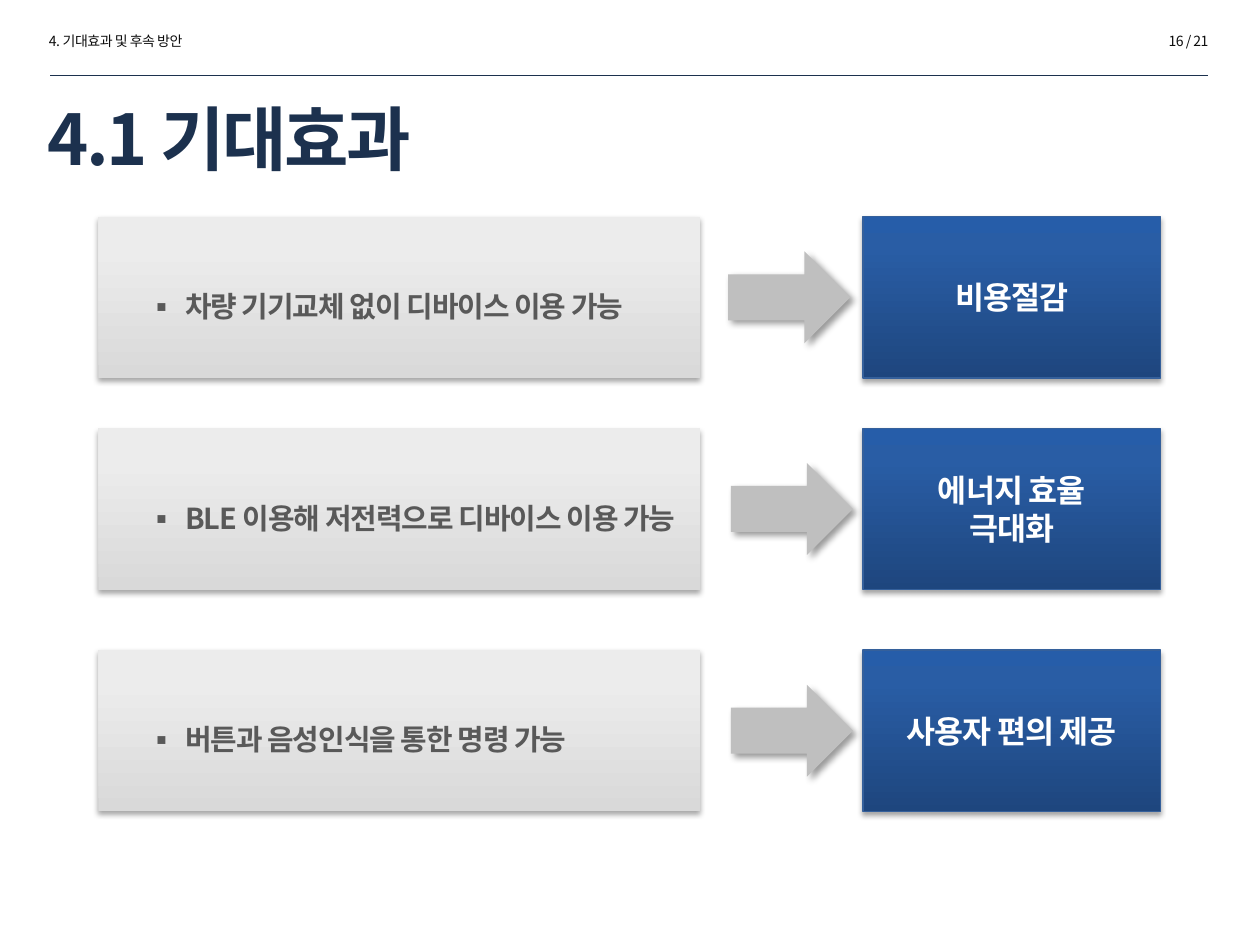
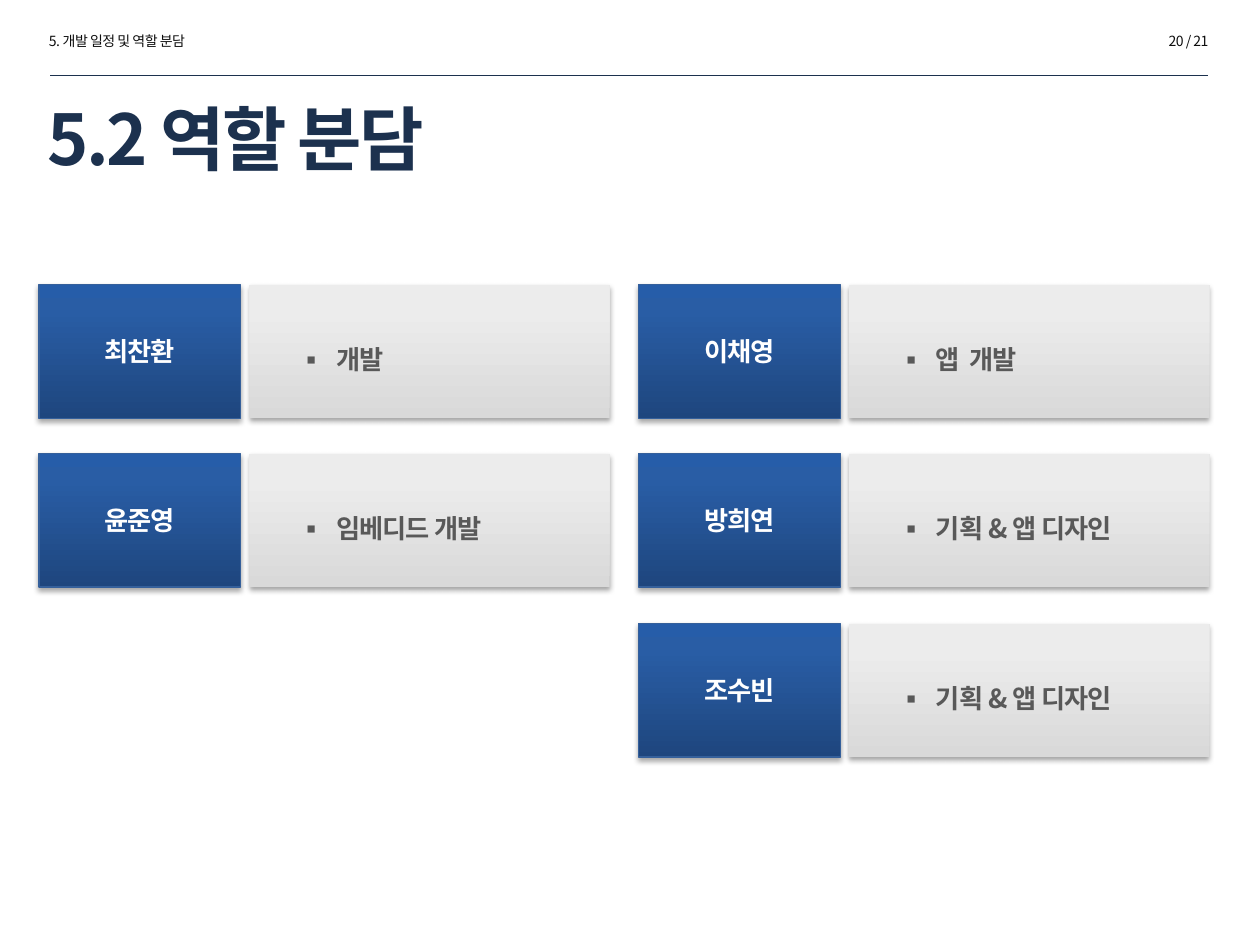
from pptx import Presentation
from pptx.dml.color import RGBColor
from pptx.enum.shapes import MSO_CONNECTOR, MSO_SHAPE
from pptx.enum.text import MSO_ANCHOR, PP_ALIGN
from pptx.oxml import parse_xml
from pptx.oxml.ns import nsdecls, qn
from pptx.util import Inches, Pt

RECT, ARROW = MSO_SHAPE.RECTANGLE, MSO_SHAPE.RIGHT_ARROW
STRAIGHT = MSO_CONNECTOR.STRAIGHT
LEFT, CENTER, RIGHT = PP_ALIGN.LEFT, PP_ALIGN.CENTER, PP_ALIGN.RIGHT
TOP, MIDDLE = MSO_ANCHOR.TOP, MSO_ANCHOR.MIDDLE

THEME = {
    "font": "Noto Sans CJK KR",
    "navy": RGBColor.from_string("1C314E"),
    "edge": RGBColor.from_string("35609B"),
    "arrow": RGBColor.from_string("BFBFBF"),
    "blue": [(0, "1E467E"), (80, "295DA5"), (100, "265DA9")],
    "gray": [(0, "D9D9D9"), (80, "ECECEC")],
    "card_shadow": (35, 3.1, 1.8, 90),
    "arrow_shadow": (40, 4, 3, 45),
    "header": {"size": 8, "color": "0D0D0D", "bold": False, "spacing": -30},
    "title": {"size": 40, "color": "1C314E", "bold": True, "spacing": -150},
    "effect": {"size": 18, "color": "FFFFFF", "bold": True, "spacing": -50},
    "reason": {"size": 16.5, "color": "595959", "bold": True, "spacing": -50},
    "member": {"size": 15, "color": "FFFFFF", "bold": True, "spacing": -50},
    "role": {"size": 15, "color": "595959", "bold": True, "spacing": -50},
}


def write(sp, text, style, align=LEFT, anchor=MIDDLE, bullet=False):
    fmt = THEME[style]
    tf = sp.text_frame
    tf.word_wrap = True
    tf.vertical_anchor = anchor
    for i, line in enumerate(text.split("\n")):
        p = tf.add_paragraph() if i else tf.paragraphs[0]
        p.alignment = align
        if bullet:
            p.line_spacing = 1.5
            pPr = p._p.get_or_add_pPr()
            pPr.set("marL", str(Inches(0.59)))
            pPr.set("indent", str(Inches(-0.3)))
            pPr.append(parse_xml(f'<a:buFont {nsdecls("a")} typeface="{THEME["font"]}"/>'))
            pPr.append(parse_xml(f'<a:buChar {nsdecls("a")} char="▪"/>'))
        r = p.add_run()
        r.text = line
        values = {"name": THEME["font"], "size": Pt(fmt["size"]), "bold": fmt["bold"]}
        for name, value in values.items():
            setattr(r.font, name, value)
        r.font.color.rgb = RGBColor.from_string(fmt["color"])
        rPr = r._r.get_or_add_rPr()
        rPr.set("spc", str(fmt["spacing"]))
        rPr.find(qn("a:latin")).addnext(
            parse_xml(f'<a:ea {nsdecls("a")} typeface="{THEME["font"]}"/>'))


def add_block(s, kind, box, fill, shadow):
    sp = s.shapes.add_shape(kind, *map(Inches, box))
    spPr = sp._element.spPr
    if isinstance(fill, list):
        sp.fill.gradient()
        sp.fill.gradient_angle = 90
        stops = spPr.find(qn("a:gradFill")).find(qn("a:gsLst"))
        for stop in list(stops):
            stops.remove(stop)
        for pos, color in fill:
            stops.append(parse_xml(
                f'<a:gs {nsdecls("a")} pos="{pos * 1000}"><a:srgbClr val="{color}"/></a:gs>'))
    else:
        sp.fill.solid()
        sp.fill.fore_color.rgb = fill
    if fill is THEME["blue"]:
        sp.line.color.rgb = THEME["edge"]
        sp.line.width = Pt(0.75)
    else:
        sp.line.fill.background()
    sp.shadow.inherit = False
    alpha, blur, dist, angle = shadow
    spPr.find(qn("a:effectLst")).append(parse_xml(
        f'<a:outerShdw {nsdecls("a")} blurRad="{Pt(blur)}" dist="{Pt(dist)}" '
        f'dir="{angle * 60000}" algn="ctr" rotWithShape="0">'
        f'<a:srgbClr val="000000"><a:alpha val="{alpha * 1000}"/></a:srgbClr></a:outerShdw>'))
    return sp


prs = Presentation()
prs.slide_width, prs.slide_height = Inches(10), Inches(7.5)

slides = []
for section, title, page in [
    ("4. 기대효과 및 후속 방안", "4.1 기대효과", "16 / 21"),
    ("5. 개발 일정 및 역할 분담", "5.2 역할 분담", "20 / 21"),
]:
    s = prs.slides.add_slide(prs.slide_layouts[6])
    slides.append(s)
    rule = s.shapes.add_connector(STRAIGHT, Inches(0.4), Inches(0.6), Inches(9.59), Inches(0.6))
    rule.line.color.rgb = THEME["navy"]
    rule.line.width = Pt(0.25)
    rule._element.spPr.append(parse_xml(f'<a:effectLst {nsdecls("a")}/>'))
    for text, box, style, align, anchor in [
        (section, (0.29, 0.21, 1.73, 0.24), "header", LEFT, TOP),
        (title, (0.28, 0.77, 7.65, 0.64), "title", LEFT, MIDDLE),
        (page, (7.96, 0.21, 1.73, 0.24), "header", RIGHT, TOP),
    ]:
        write(s.shapes.add_textbox(*map(Inches, box)), text, style, align, anchor)

effects_slide, roles_slide = slides

card_h, arrow_h = 1.28, 0.73
for top, arrow_left, reason, effect in [
    (1.72, 5.78, "차량 기기교체 없이 디바이스 이용 가능", "비용절감"),
    (3.4, 5.8, "BLE 이용해 저전력으로 디바이스 이용 가능", "에너지 효율\n극대화"),
    (5.16, 5.8, "버튼과 음성인식을 통한 명령 가능", "사용자 편의 제공"),
]:
    sp = add_block(effects_slide, RECT, (6.85, top, 2.36, card_h),
                   THEME["blue"], THEME["card_shadow"])
    write(sp, effect, "effect", CENTER)
    sp = add_block(effects_slide, RECT, (0.78, top, 4.78, card_h),
                   THEME["gray"], THEME["card_shadow"])
    write(sp, reason, "reason", bullet=True)
    add_block(effects_slide, ARROW, (arrow_left, top + (card_h - arrow_h) / 2, 0.97, arrow_h),
              THEME["arrow"], THEME["arrow_shadow"])

row_tops = [2.26, 3.6, 4.95]
for left, members in [
    (0.31, [("최찬환", "개발"), ("윤준영", "임베디드 개발")]),
    (5.07, [("이채영", "앱  개발"), ("방희연", "기획 & 앱 디자인"), ("조수빈", "기획 & 앱 디자인")]),
]:
    for top, (member, role) in zip(row_tops, members):
        sp = add_block(roles_slide, RECT, (left, top, 1.6, 1.06),
                       THEME["blue"], THEME["card_shadow"])
        write(sp, member, "member", CENTER)
        sp = add_block(roles_slide, RECT, (left + 1.67, top, 2.86, 1.06),
                       THEME["gray"], THEME["card_shadow"])
        write(sp, role, "role", bullet=True)

prs.save("out.pptx")
